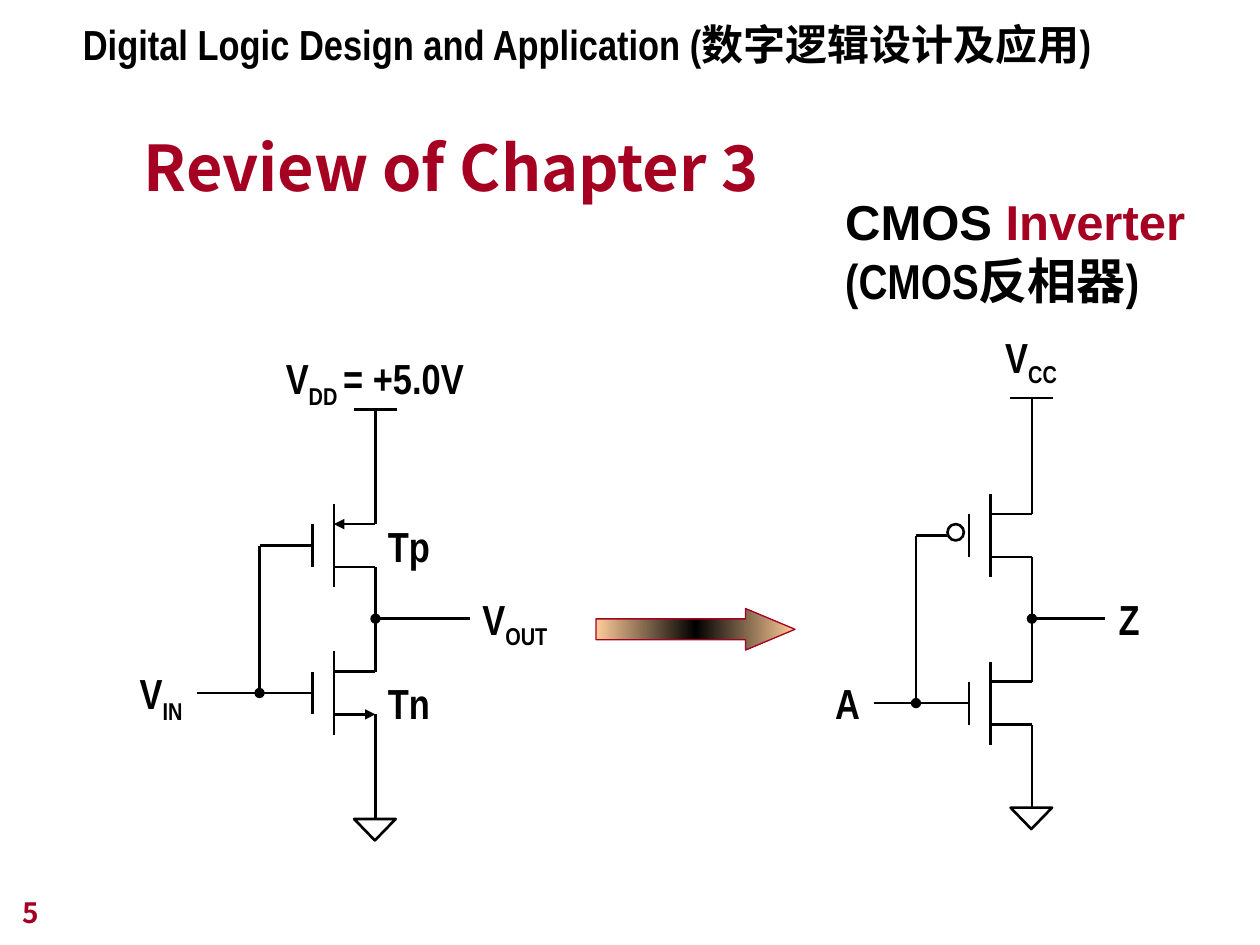
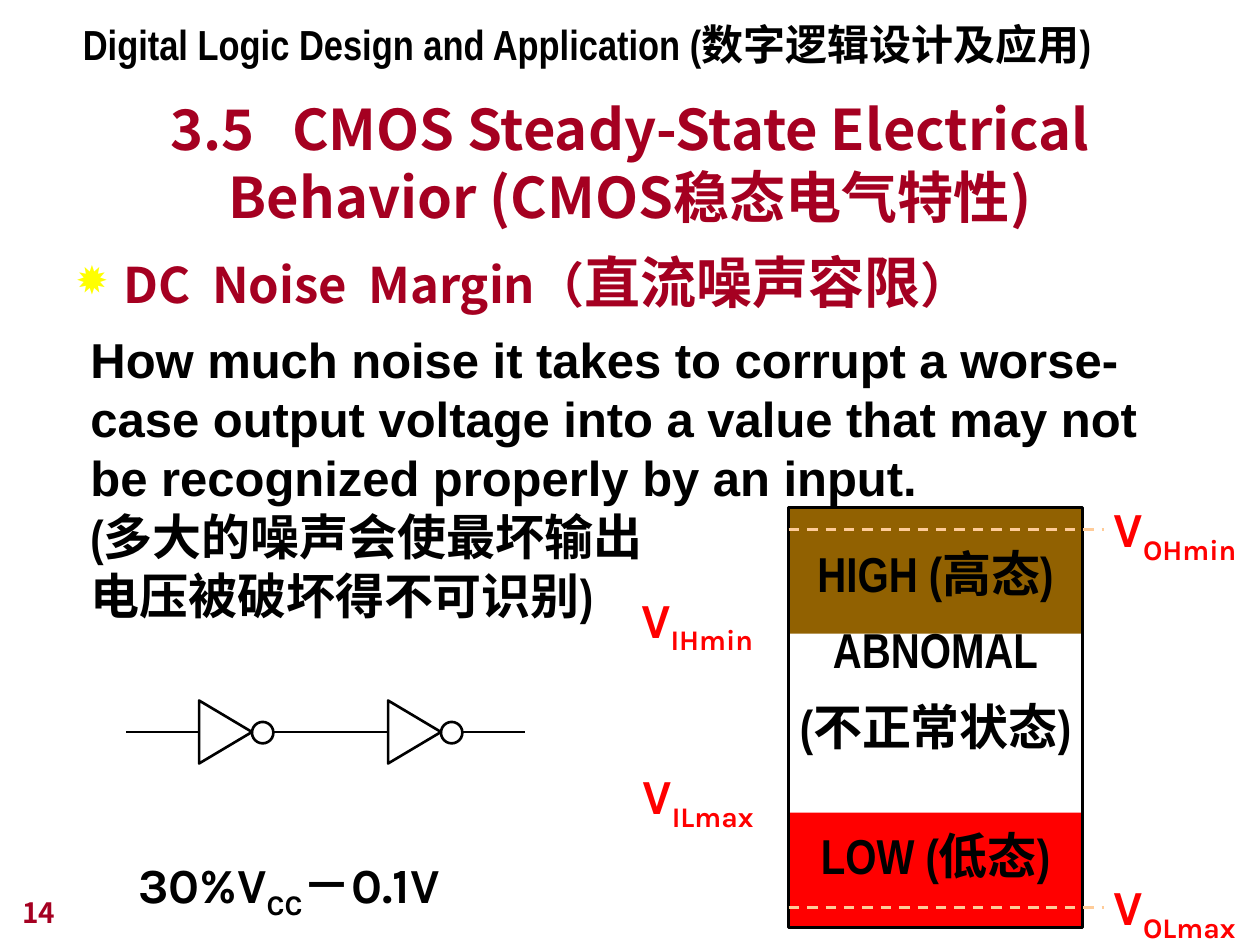
from copy import deepcopy

from lxml import etree
from pptx import Presentation
from pptx.dml.color import RGBColor
from pptx.enum.dml import MSO_LINE
from pptx.enum.shapes import MSO_CONNECTOR, MSO_SHAPE
from pptx.enum.text import MSO_ANCHOR, MSO_AUTO_SIZE, PP_ALIGN
from pptx.oxml.ns import qn
from pptx.util import Inches, Pt

BLACK = RGBColor(0, 0, 0)
CRIMSON = RGBColor(0xA5, 0x00, 0x21)
RED = RGBColor(0xFF, 0, 0)
BROWN = RGBColor(0x91, 0x61, 0x01)
PEACH = RGBColor(0xFF, 0xCC, 0x99)
YELLOW = "FFFF00"

NARROW = "Arial Narrow"
SANS = "Arial"
LABEL = "Karla"
HEAVY = "Noto Sans CJK JP"

TITLE_ONLY, TITLE_AND_BODY = 5, 1
COURSE = "Digital Logic Design and Application (数字逻辑设计及应用)"


def style(size, name, color=BLACK):
    return {"size": Pt(size), "name": name, "color": color, "bold": True}


CIRCUIT_TEXT = style(24, NARROW)
LEVEL_TEXT = style(28, NARROW)
VOLTAGE_TEXT = style(28, LABEL, RED)


def add_spans(para, spans, base):
    """Add runs from strings or (text, changes); sub lowers a run, gap widens it."""
    for span in spans:
        text, changes = (span, {}) if isinstance(span, str) else span
        run = para.add_run()
        run.text = text
        for key, value in {**base, **changes}.items():
            if key == "color":
                run.font.color.rgb = value
            elif key == "sub":
                run.font._element.set("baseline", "-25000")
            elif key == "gap":
                run.font._element.set("spc", str(value * 100))
            else:
                setattr(run.font, key, value)


def fill_frame(shape, paras, base, wrap=True, anchor=MSO_ANCHOR.TOP,
               auto_size=MSO_AUTO_SIZE.NONE, para_formats=()):
    frame = shape.text_frame
    frame.word_wrap = wrap
    frame.auto_size = auto_size
    frame.vertical_anchor = anchor
    for index, spans in enumerate(paras):
        para = frame.add_paragraph() if index else frame.paragraphs[0]
        if index < len(para_formats):
            for key, value in para_formats[index].items():
                setattr(para, key, value)
        add_spans(para, spans, base)


def add_text(page, left, top, width, height, paras, base, **frame_format):
    box = page.shapes.add_textbox(*map(Inches, (left, top, width, height)))
    fill_frame(box, paras, base, **frame_format)


def add_label(page, left, top, width, spans, base=CIRCUIT_TEXT, height=0.5):
    add_text(page, left, top, width, height, [spans], base, wrap=False)


def place(shape, left, top, width, height):
    shape.left, shape.top, shape.width, shape.height = map(
        Inches, (left, top, width, height))


def set_title(page, at, spans, size):
    title = page.shapes.title
    place(title, *at)
    fill_frame(title, [spans], style(size, HEAVY, CRIMSON),
               anchor=MSO_ANCHOR.BOTTOM,
               para_formats=[{"alignment": PP_ALIGN.CENTER}])


def add_page(deck, layout, number):
    page = deck.slides.add_slide(deck.slide_layouts[layout])
    add_text(page, 0.56, 0.1, 8.6, 0.5, [[COURSE]], CIRCUIT_TEXT)
    add_text(page, 0.08, 6.92, 2.08, 0.5, [[number]],
             style(16, HEAVY, CRIMSON), anchor=MSO_ANCHOR.BOTTOM)
    return page


def add_line(page, x1, y1, x2, y2, color=BLACK, dash=None, head=None, tail=None):
    line = page.shapes.add_connector(
        MSO_CONNECTOR.STRAIGHT, *map(Inches, (x1, y1, x2, y2)))
    line.line.color.rgb = color
    line.line.width = Pt(1.5)
    if dash:
        line.line.dash_style = dash
    outline = line.line._get_or_add_ln()
    for tag, kind in (("a:headEnd", head), ("a:tailEnd", tail)):
        if kind:
            etree.SubElement(outline, qn(tag), type=kind)
    etree.SubElement(line._element.spPr, qn("a:effectLst"))


def add_figure(page, kind, left, top, width, height, fill=None, line=BLACK,
               line_width=1.5, rotation=0):
    shape = page.shapes.add_shape(
        kind, *map(Inches, (left, top, width, height)))
    shape.shadow.inherit = False
    shape.rotation = rotation
    if fill is None:
        shape.fill.background()
    else:
        shape.fill.solid()
        shape.fill.fore_color.rgb = fill
    if line is None:
        shape.line.fill.background()
    else:
        shape.line.color.rgb = line
        shape.line.width = Pt(line_width)
    return shape


def add_transistor(page, x, y, upper_head=None, lower_tail=None):
    """Draw a MOS transistor whose terminals end at x and whose gate is at y."""
    gate, channel = x - 0.5, x - 0.33
    add_line(page, gate, y - 0.17, gate, y + 0.17)
    add_line(page, channel, y - 0.33, channel, y + 0.33)
    add_line(page, channel, y - 0.17, x, y - 0.17, head=upper_head)
    add_line(page, channel, y + 0.17, x, y + 0.17, tail=lower_tail)


def add_cmos_inverter(page, x, rail, p_gate, n_gate, ground, input_x, output_x,
                      bubble=False):
    node, joint = 4.91, x - 0.92
    add_transistor(page, x, p_gate, upper_head=None if bubble else "triangle")
    add_transistor(page, x, n_gate, lower_tail=None if bubble else "triangle")
    for start, end in ((rail, p_gate - 0.17), (p_gate + 0.17, n_gate - 0.17),
                       (n_gate + 0.17, ground)):
        add_line(page, x, start, x, end)
    add_line(page, x - 0.17, rail, x + 0.17, rail)
    add_figure(page, MSO_SHAPE.ISOSCELES_TRIANGLE, x - 0.17, ground, 0.33, 0.17,
               rotation=180)
    if bubble:
        add_figure(page, MSO_SHAPE.OVAL, x - 0.67, p_gate - 0.09, 0.13, 0.13)
    add_line(page, x - (0.67 if bubble else 0.5), p_gate, joint, p_gate)
    add_line(page, joint, p_gate, joint, n_gate, tail="oval")
    add_line(page, x - 0.5, n_gate, input_x, n_gate)
    add_line(page, x, node, output_x, node, head="oval")


def add_gradient_arrow(page):
    arrow = add_figure(page, MSO_SHAPE.RIGHT_ARROW, 4.73, 4.83, 1.58, 0.33,
                       line=CRIMSON, line_width=0.75)
    arrow.adjustments[1] = 1.19
    arrow.fill.gradient()
    arrow.fill.gradient_angle = 0
    stop_list = arrow._element.spPr.find(qn("a:gradFill")).find(qn("a:gsLst"))
    stop_list.append(deepcopy(stop_list[0]))
    for stop, position, color in zip(arrow.fill.gradient_stops, (0, 0.5, 1),
                                     (PEACH, BLACK, PEACH)):
        stop.position = position
        stop.color.rgb = color


def set_bulleted_body(page):
    body = page.placeholders[1]
    place(body, 0.5, 1.86, 7.89, 0.83)
    para = body.text_frame.paragraphs[0]
    properties = para._p.get_or_add_pPr()
    properties.set("marL", str(Inches(0.38)))
    properties.set("indent", str(-Inches(0.38)))
    bullet_color = etree.SubElement(properties, qn("a:buClr"))
    etree.SubElement(bullet_color, qn("a:srgbClr"), val=YELLOW)
    etree.SubElement(properties, qn("a:buSzPct"), val="80000")
    etree.SubElement(properties, qn("a:buChar"), char="✹")
    wide_space = (" ", {"gap": 6})
    fill_frame(body, [["DC", wide_space, "Noise", wide_space, "Margin（",
                       ("直流噪声容限", {"size": Pt(32)}), "）"]],
               style(28, HEAVY, CRIMSON),
               para_formats=[{"line_spacing": 1.1, "space_before": Pt(0)}])


def add_inverter_chain(page):
    middle = 5.81
    for left in (1, 2.5):
        wire_start = left if left == 1 else left + 0.17
        add_line(page, wire_start, middle, left + 0.58, middle)
        add_figure(page, MSO_SHAPE.ISOSCELES_TRIANGLE, left + 0.54, middle - 0.21,
                   0.5, 0.42, rotation=90)
        add_figure(page, MSO_SHAPE.OVAL, left + 1, middle - 0.08, 0.17, 0.17)
        add_line(page, left + 1.17, middle, left + 1.67, middle)


def add_level_chart(page):
    left, top, width = 6.26, 4.03, 2.33
    add_figure(page, MSO_SHAPE.RECTANGLE, left, 6.45, width, 0.92, RED, None)
    add_figure(page, MSO_SHAPE.RECTANGLE, left, top, width, 1, BROWN, None)
    levels = add_figure(page, MSO_SHAPE.RECTANGLE, left, top, width, 3.33)
    formats = [{"alignment": PP_ALIGN.CENTER, "line_spacing": spacing}
               for spacing in (1.5, 1.3, 1.3, 1.1)]
    formats[-1]["space_before"] = Pt(37)
    fill_frame(levels, [["HIGH (高态)"], ["ABNOMAL"], ["(不正常状态)"],
                        ["LOW (低态)"]],
               LEVEL_TEXT, wrap=False, para_formats=formats)
    for y in (4.2, 7.2):
        add_line(page, left, y, 8.76, y, color=PEACH, dash=MSO_LINE.DASH)
    for x, y, name in ((8.74, 3.91, "OHmin"), (4.99, 4.63, "IHmin"),
                       (5, 6.03, "ILmax"), (8.74, 6.91, "OLmax")):
        add_label(page, x, y, 1.26, ["V", (name, {"sub": True})],
                  VOLTAGE_TEXT, 0.63)


def build_review(deck):
    page = add_page(deck, TITLE_ONLY, "5")
    set_title(page, (0.59, 0.91, 5.98, 0.76), ["Review of Chapter 3"], 36)
    add_cmos_inverter(page, 2.98, rail=3.25, p_gate=4.33, n_gate=5.5, ground=6.5,
                      input_x=1.56, output_x=3.73)
    add_cmos_inverter(page, 8.19, rail=3.16, p_gate=4.25, n_gate=5.58, ground=6.41,
                      input_x=6.94, output_x=8.77, bubble=True)
    for left, top, width, spans in (
            (2.17, 2.75, 1.8, ["V", ("DD ", {"sub": True}), "= +5.0V"]),
            (3.73, 4.66, 0.9, ["V", ("OUT", {"sub": True})]),
            (1.01, 5.25, 0.7, ["V", ("IN", {"sub": True})]),
            (2.98, 4.08, 0.7, ["Tp"]),
            (2.98, 5.33, 0.7, ["Tn"]),
            (7.88, 2.58, 0.8, ["V", ("CC", {"sub": True})]),
            (6.53, 5.33, 0.5, ["A"]),
            (8.78, 4.66, 0.5, ["Z"])):
        add_label(page, left, top, width, spans)
    add_text(page, 6.61, 1.47, 3.39, 1.04,
             [["CMOS", (" Inverter", {"color": CRIMSON})],
              [("(CMOS反相器)", {"name": NARROW})]], style(28, SANS))
    add_gradient_arrow(page)


def build_noise_margin(deck):
    page = add_page(deck, TITLE_AND_BODY, "14")
    set_title(page, (0.75, 0.68, 8.5, 1.19),
              ["3.5", (" ", {"gap": 14}),
               "CMOS Steady-State Electrical Behavior (CMOS稳态电气特性)"], 32)
    set_bulleted_body(page)
    add_inverter_chain(page)
    add_level_chart(page)
    add_text(page, 1, 6.73, 3.84, 0.63,
             [["30%V", ("CC", {"sub": True}), "－0.1V"]], style(28, LABEL))
    add_text(page, 0.62, 2.57, 8.87, 2.9,
             [["How much noise it takes to corrupt a worse-case output voltage "
               "into a value that may not be recognized properly by an input."],
              [("(多大的噪声会使最坏输出", {"name": NARROW})],
              [("电压被破坏得不可识别)", {"name": NARROW})]], style(28, SANS))


def main():
    deck = Presentation()
    deck.slide_width, deck.slide_height = Inches(10), Inches(7.5)
    build_review(deck)
    build_noise_margin(deck)
    deck.save("out.pptx")


if __name__ == "__main__":
    main()
